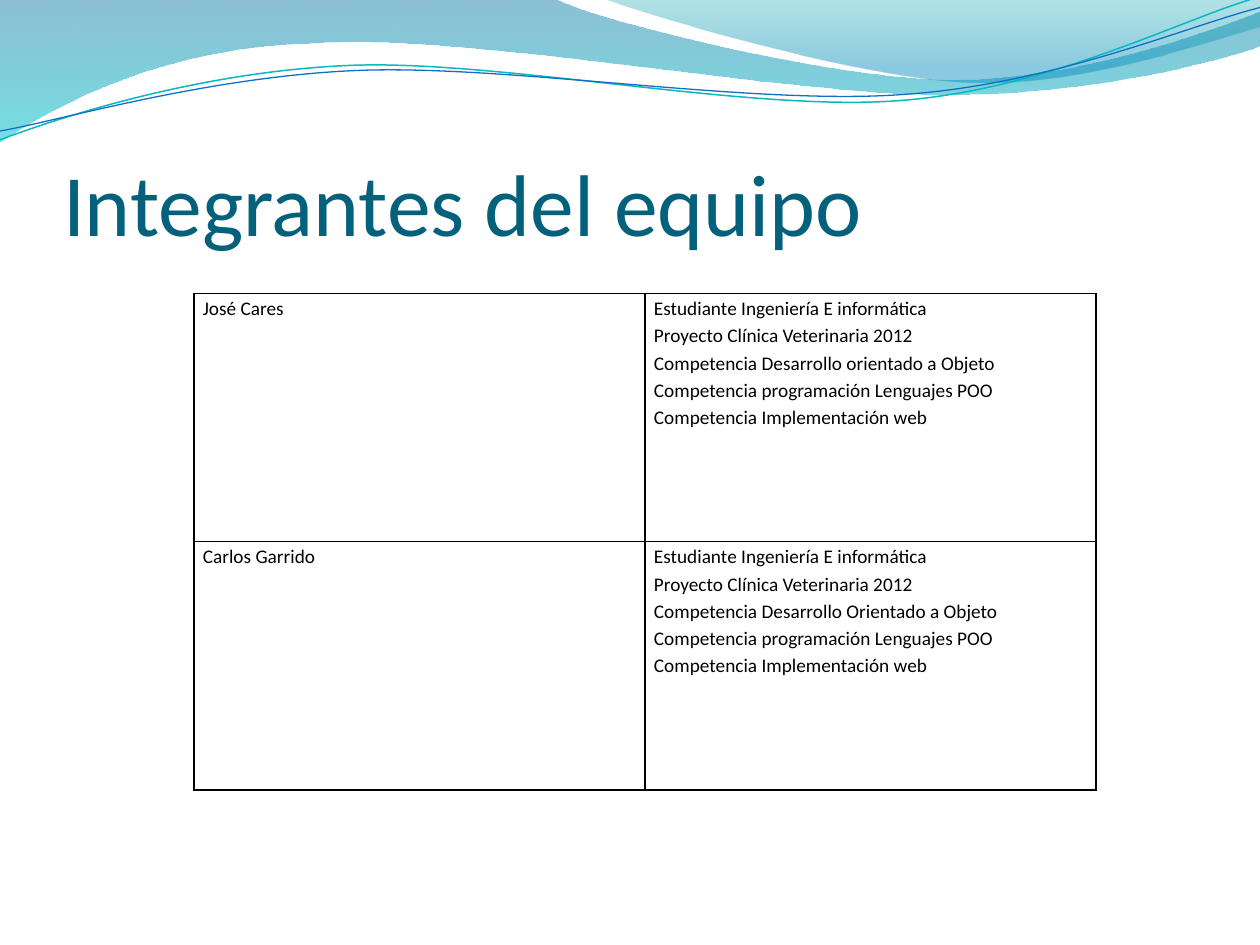
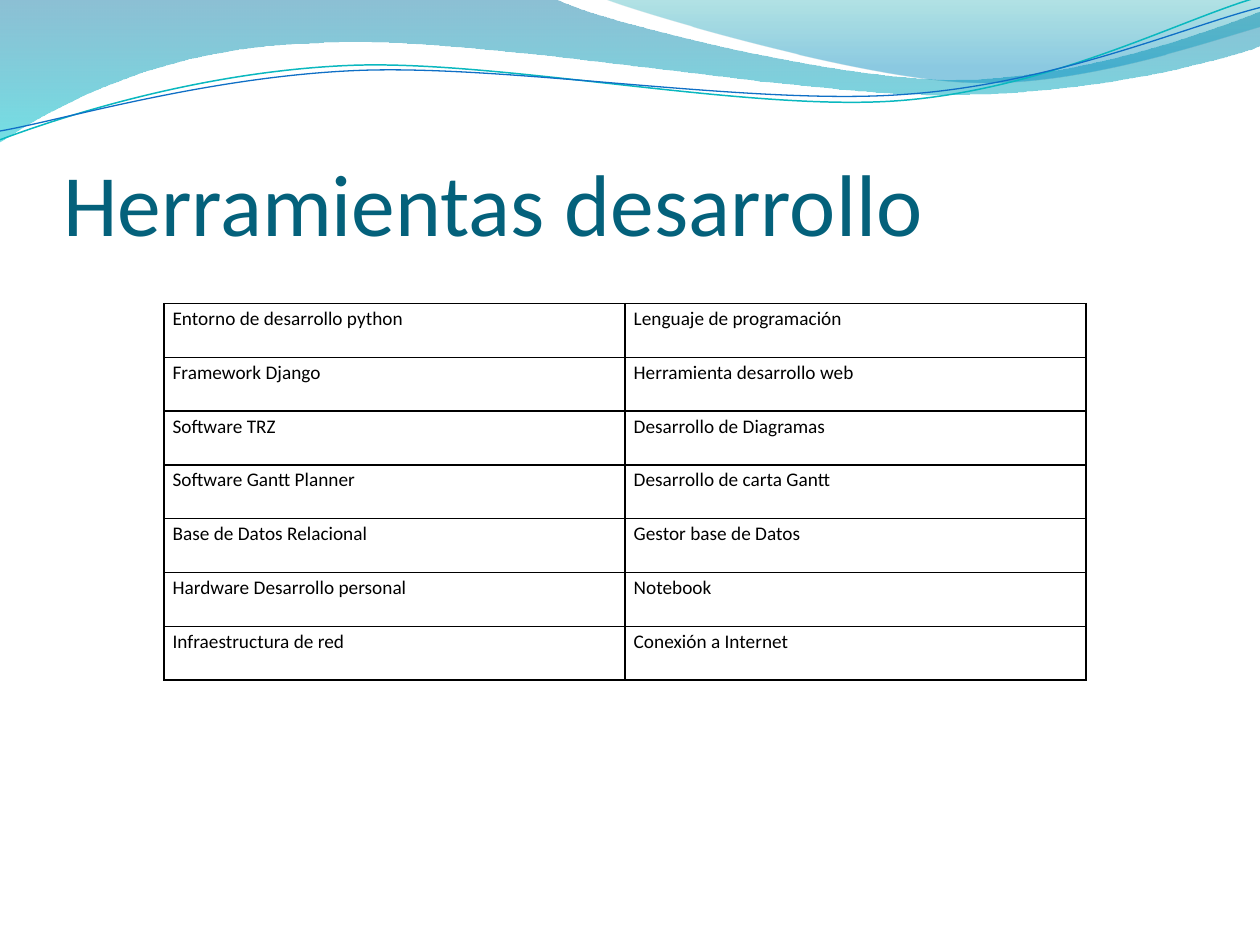
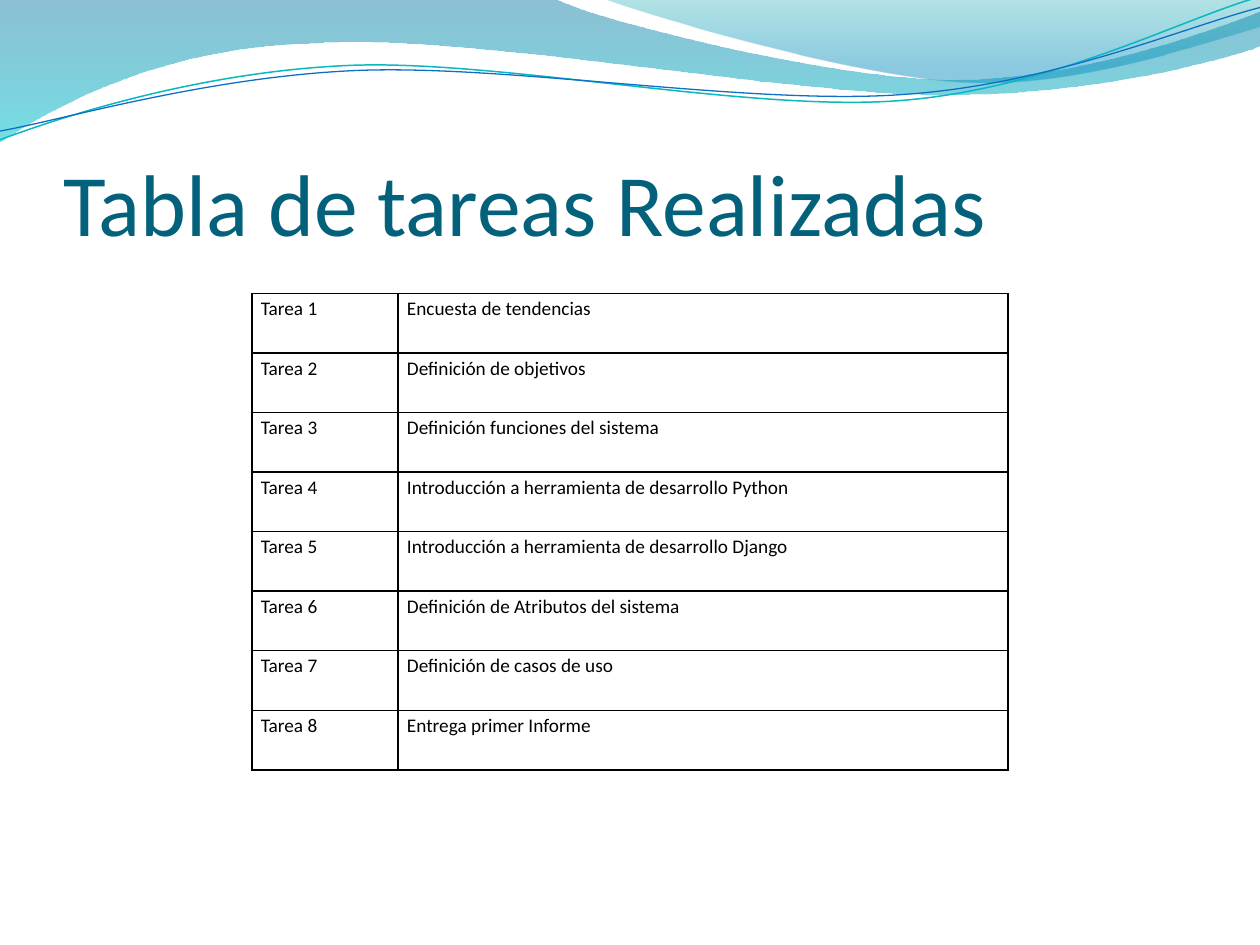
"""Build three project slides: team, development tools and completed tasks."""
from lxml.etree import SubElement
from pptx import Presentation
from pptx.dml.color import RGBColor as RGB
from pptx.enum.text import MSO_ANCHOR as Anchor, MSO_AUTO_SIZE as AutoSize, PP_ALIGN as Align
from pptx.oxml import parse_xml
from pptx.oxml.ns import nsdecls, qn
from pptx.util import Inches, Pt

THEME = {
    "font": "Calibri", "title_size": Pt(50), "cell_size": Pt(11),
    "title": RGB.from_string("04617B"), "text": RGB.from_string("000000"),
    "border": "000000", "border_width": Pt(1), "line_spacing": 1.15,
}

BANDS = [
    {"start": (0, 0),
     "path": [[(4.4, -0.01)],
              [(4.76, 0.17), (6.64, 0.63), (7.58, 0.63)],
              [(8.53, 0.63), (9.58, 0.26), (10, 0.09)],
              [(10.01, 0.36)],
              [(9.83, 0.44), (8.7, 0.76), (7.46, 0.75)],
              [(6.22, 0.75), (3.82, 0.28), (2.57, 0.34)],
              [(1.29, 0.36), (0.46, 0.83), (-0.01, 1.13)],
              [(0, 0)]],
     "stops": [(0, "0074A1", 45), (1, "00C6CF", 55)]},
    {"start": (4.79, -0.01),
     "path": [[(5.09, 0.11), (6.82, 0.62), (7.69, 0.65)],
              [(8.56, 0.69), (9.61, 0.32), (10, 0.21)],
              [(10, 0)],
              [(4.79, -0.01)]],
     "stops": [(0, "00A1A9", 30), (0.8, "008BBF", 45)]},
    {"start": (0, 1.11),
     "path": [[(0.48, 0.93), (1.58, 0.57), (2.77, 0.52)],
              [(3.95, 0.47), (5.93, 0.89), (7.13, 0.8)],
              [(8.33, 0.71), (9.38, 0.15), (9.98, -0.02)]],
     "line": ("0AB8BF", 0.85)},
    {"start": (0, 1.04),
     "path": [[(0.47, 0.96), (1.64, 0.61), (2.83, 0.56)],
              [(4.03, 0.51), (5.97, 0.84), (7.17, 0.75)],
              [(8.36, 0.67), (9.41, 0.21), (10, 0.06)]],
     "line": ("0F6FC6", 0.75)},
]

PROFILE = """Estudiante Ingeniería E informática
Proyecto Clínica Veterinaria 2012
Competencia Desarrollo {} a Objeto
Competencia programación Lenguajes POO
Competencia Implementación web"""

TASKS = [
    "Encuesta de tendencias",
    "Definición de objetivos",
    "Definición funciones del sistema",
    "Introducción a herramienta de desarrollo Python",
    "Introducción a herramienta de desarrollo Django",
    "Definición de Atributos del sistema",
    "Definición de casos de uso",
    "Entrega primer Informe",
]

DECK = [
    {"title": "Integrantes del equipo", "at": (1.54, 2.33), "cols": (3.58, 3.58), "height": 3.94,
     "rows": [("José Cares", PROFILE.format("orientado")),
              ("Carlos Garrido", PROFILE.format("Orientado"))]},
    {"title": "Herramientas desarrollo", "at": (1.3, 2.41), "cols": (3.66, 3.66), "height": 2.99,
     "rows": [("Entorno de desarrollo python", "Lenguaje de programación"),
              ("Framework Django", "Herramienta desarrollo web"),
              ("Software TRZ", "Desarrollo de Diagramas"),
              ("Software Gantt Planner", "Desarrollo de carta Gantt"),
              ("Base de Datos Relacional", "Gestor base de Datos"),
              ("Hardware Desarrollo personal", "Notebook"),
              ("Infraestructura de red", "Conexión a Internet")]},
    {"title": "Tabla de tareas Realizadas", "at": (2, 2.33), "cols": (1.16, 4.84), "height": 3.78,
     "rows": [(f"Tarea {n}", task) for n, task in enumerate(TASKS, 1)]},
]


def add_curve(shapes, start, path, close):
    """Add an outline of straight and cubic segments, given in inches."""
    builder = shapes.build_freeform(*map(Inches, start))
    builder.add_line_segments([tuple(map(Inches, seg[-1])) for seg in path], close=close)
    sp = builder.convert_to_shape()
    for ln, seg in zip(list(sp.element.iter(qn("a:lnTo"))), path):
        if len(seg) == 3:
            for i, (x, y) in enumerate(seg[:2]):
                pt = SubElement(ln, qn("a:pt"), x=str(Inches(x) - sp.left), y=str(Inches(y) - sp.top))
                ln.insert(i, pt)
            ln.tag = qn("a:cubicBezTo")
    return sp


def set_format(obj, values):
    """Set every attribute named in values."""
    for name, value in values.items():
        setattr(obj, name, value)


prs = Presentation()
set_format(prs, {"slide_width": Inches(10), "slide_height": Inches(7.5)})
layout = prs.slide_layouts[5]
set_format(layout.placeholders[0], {"left": Inches(0.5), "top": Inches(0.77),
                                    "width": Inches(9), "height": Inches(1.25)})
slides = [prs.slides.add_slide(layout) for _ in DECK]

for i, band in enumerate(BANDS):
    sp = add_curve(slides[0].shapes, band["start"], band["path"], "stops" in band)
    sp.shadow.inherit = False
    if "stops" in band:
        sp.line.fill.background()
        sp.fill.gradient()
        sp.fill.gradient_angle = 270
        for stop, (position, color, _) in zip(sp.fill.gradient_stops, band["stops"]):
            stop.position = position
            stop.color.rgb = RGB.from_string(color)
        for clr, (_, _, opacity) in zip(sp.element.spPr.iter(qn("a:srgbClr")), band["stops"]):
            SubElement(clr, qn("a:alpha"), val=str(opacity * 1000))
    else:
        color, width = band["line"]
        sp.fill.background()
        sp.line.color.rgb = RGB.from_string(color)
        sp.line.width = Pt(width)
    sp.element.nvSpPr.cNvPr.set("id", str(20 + i))
    layout.shapes.element.insert(2 + i, sp.element)

title_frame = {"vertical_anchor": Anchor.BOTTOM, "auto_size": AutoSize.NONE, "word_wrap": True,
               "margin_left": 0, "margin_top": Inches(0.05), "margin_right": 0, "margin_bottom": 0}
cell_box = {"margin_left": Inches(0.07), "margin_top": 0,
            "margin_right": Inches(0.07), "margin_bottom": 0}

for s, page in zip(slides, DECK):
    tf = s.shapes.title.text_frame
    tf.text = page["title"]
    set_format(tf, title_frame)
    p = tf.paragraphs[0]
    p.alignment = Align.LEFT
    set_format(p.runs[0].font, {"name": THEME["font"], "size": THEME["title_size"]})
    p.runs[0].font.color.rgb = THEME["title"]

    rows, cols = page["rows"], page["cols"]
    left, top = page["at"]
    table = s.shapes.add_table(len(rows), len(cols), Inches(left), Inches(top),
                               Inches(sum(cols)), Inches(page["height"])).table
    set_format(table, {"first_row": False, "horz_banding": False})
    for column, width in zip(table.columns, cols):
        column.width = Inches(width)
    for cell, text in zip(table.iter_cells(), (text for row in rows for text in row)):
        cell.text = text
        set_format(cell, cell_box)
        for side in "LRTB":
            cell._tc.get_or_add_tcPr().append(parse_xml(
                f'<a:ln{side} {nsdecls("a")} w="{THEME["border_width"]}"><a:solidFill>'
                f'<a:srgbClr val="{THEME["border"]}"/></a:solidFill></a:ln{side}>'))
        cell.fill.background()
        for p in cell.text_frame.paragraphs:
            set_format(p, {"alignment": Align.JUSTIFY, "line_spacing": THEME["line_spacing"]})
            for r in p.runs:
                set_format(r.font, {"name": THEME["font"], "size": THEME["cell_size"]})
                r.font.color.rgb = THEME["text"]

prs.save("out.pptx")
